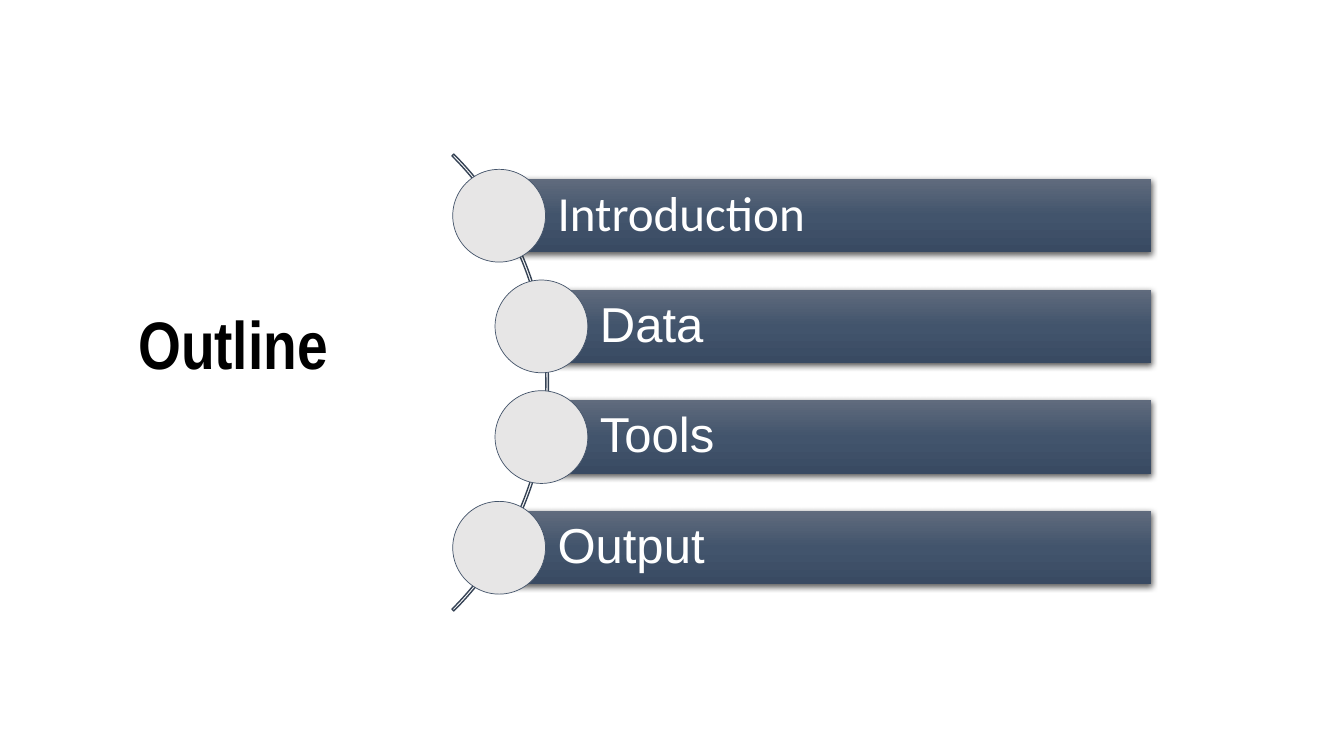
from dataclasses import dataclass

from pptx import Presentation
from pptx.dml.color import RGBColor
from pptx.enum.shapes import MSO_SHAPE
from pptx.enum.text import MSO_ANCHOR, PP_ALIGN
from pptx.oxml import parse_xml
from pptx.oxml.ns import nsdecls, qn
from pptx.util import Inches, Pt


@dataclass(frozen=True)
class Theme:
    title: str = "000000"
    bar_text: str = "FFFFFF"
    bar_stops: tuple = ((0, "606B7D"), (50, "42546C"), (100, "394A62"))
    dot: str = "E7E6E6"
    dot_line: str = "44546A"
    arc_line: str = "364355"
    shadow: str = "000000"
    title_size: int = 48
    bar_size: int = 35


def shadow_effect(blur, distance, angle, alpha):
    return parse_xml(
        f'<a:effectLst {nsdecls("a")}><a:outerShdw blurRad="{Pt(blur)}" dist="{Pt(distance)}" '
        f'dir="{angle * 60000}" algn="ctr" rotWithShape="0"><a:srgbClr val="{theme.shadow}">'
        f'<a:alpha val="{alpha * 1000}"/></a:srgbClr></a:outerShdw></a:effectLst>'
    )


def style_text(paragraph, font_name, size, color):
    paragraph.alignment = PP_ALIGN.LEFT
    paragraph.line_spacing = 0.9
    font = paragraph.runs[0].font
    font.name = font_name
    font.size = Pt(size)
    font.color.rgb = RGBColor.from_string(color)
    return font


theme = Theme()
presentation = Presentation()
presentation.slide_width = Inches(13.33)
presentation.slide_height = Inches(7.5)
slide = presentation.slides.add_slide(presentation.slide_layouts[5])

title = slide.shapes.title
title.left, title.top = Inches(1.27), Inches(2.87)
title.width, title.height = Inches(3.48), Inches(1.16)
title.text_frame.text = "Outline"
title.text_frame.vertical_anchor = MSO_ANCHOR.MIDDLE
title_font = style_text(
    title.text_frame.paragraphs[0], "Arial Narrow", theme.title_size, theme.title
)
title_font.bold = True
title_properties = title.text_frame.paragraphs[0].runs[0]._r.rPr
title_properties.find(qn("a:solidFill")).addnext(shadow_effect(3, 3, 45, 43))

outline = slide.shapes.add_group_shape()
arc = outline.shapes.add_shape(
    MSO_SHAPE.BLOCK_ARC, Inches(-0.97), Inches(0.59), Inches(6.41), Inches(6.41)
)
arc.shadow.inherit = False
arc.fill.background()
arc.line.color.rgb = RGBColor.from_string(theme.arc_line)
arc.line.width = Pt(1)
for index, value in enumerate((189, 27, 0.004)):
    arc.adjustments[index] = value

gradient_stops = "".join(
    f'<a:gs pos="{position * 1000}"><a:srgbClr val="{color}"/></a:gs>'
    for position, color in theme.bar_stops
)
bar_right = 11.42
bar_height = 0.73
dot_size = 0.92
topics = (
    ("Introduction", "Calibri", 4.95),
    ("Data", "Arial", 5.37),
    ("Tools", "Arial", 5.37),
    ("Output", "Arial", 4.95),
)

for row, (topic, font_name, bar_left) in enumerate(topics):
    middle = 2.14 + row * 1.098
    bar = outline.shapes.add_shape(
        MSO_SHAPE.RECTANGLE,
        Inches(bar_left),
        Inches(middle - bar_height / 2),
        Inches(bar_right - bar_left),
        Inches(bar_height),
    )
    bar.line.fill.background()
    bar_properties = bar._element.spPr
    bar_properties.find(qn("a:prstGeom")).addnext(
        parse_xml(
            f'<a:gradFill {nsdecls("a")} rotWithShape="1"><a:gsLst>{gradient_stops}</a:gsLst>'
            '<a:lin ang="5400000" scaled="0"/></a:gradFill>'
        )
    )
    bar_properties.append(shadow_effect(4.5, 1.5, 90, 63))
    frame = bar.text_frame
    frame.text = topic
    frame.word_wrap = True
    frame.vertical_anchor = MSO_ANCHOR.MIDDLE
    frame.margin_left = Inches(0.58)
    frame.margin_top = frame.margin_right = frame.margin_bottom = Inches(0.1)
    style_text(frame.paragraphs[0], font_name, theme.bar_size, theme.bar_text)

    dot = outline.shapes.add_shape(
        MSO_SHAPE.OVAL,
        Inches(bar_left - dot_size / 2),
        Inches(middle - dot_size / 2),
        Inches(dot_size),
        Inches(dot_size),
    )
    dot.shadow.inherit = False
    dot.fill.solid()
    dot.fill.fore_color.rgb = RGBColor.from_string(theme.dot)
    dot.line.color.rgb = RGBColor.from_string(theme.dot_line)
    dot.line.width = Pt(0.5)

presentation.save("out.pptx")
